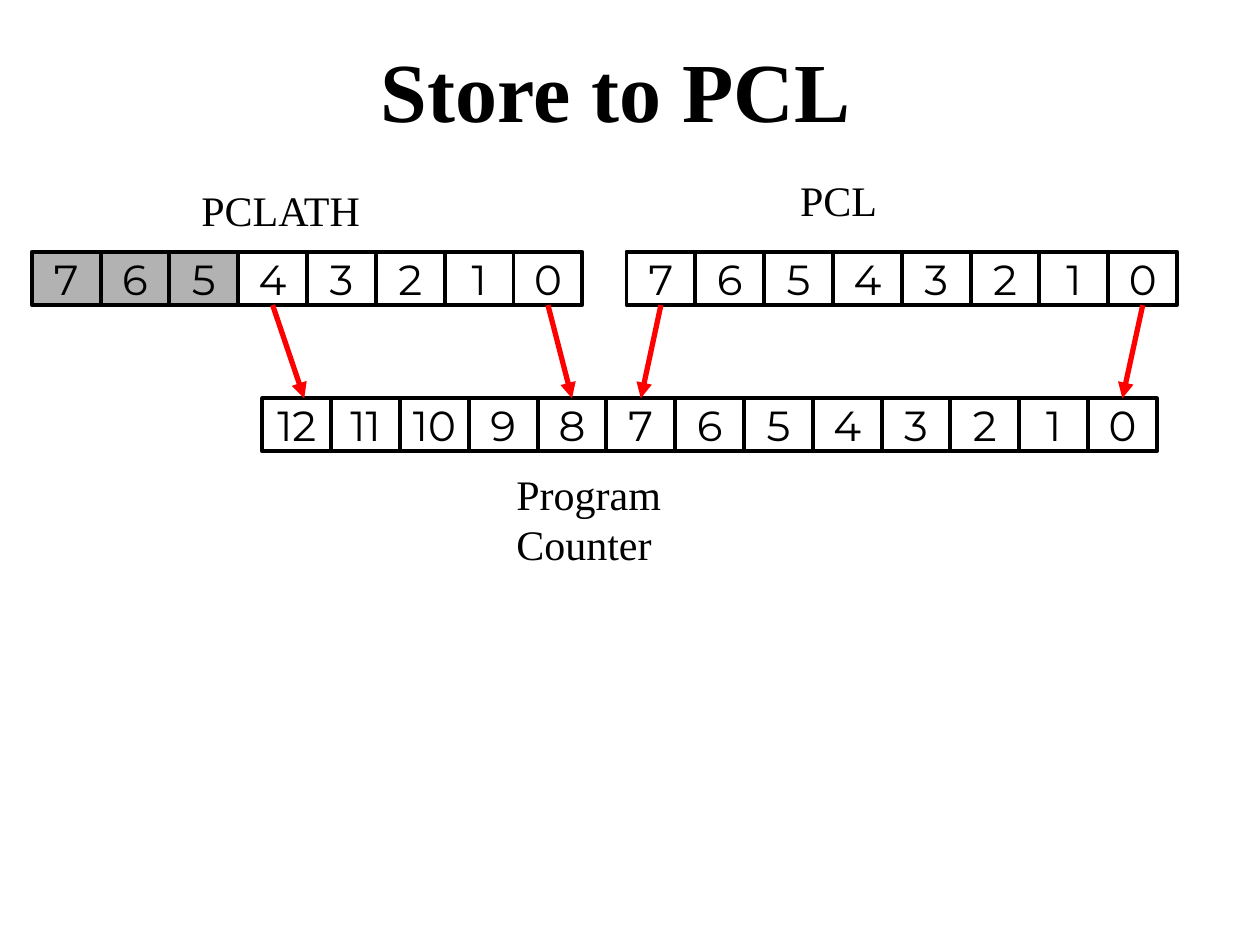
from lxml.etree import SubElement
from pptx import Presentation
from pptx.dml.color import RGBColor
from pptx.enum.shapes import MSO_CONNECTOR, MSO_SHAPE
from pptx.enum.text import MSO_ANCHOR, MSO_AUTO_SIZE, PP_ALIGN
from pptx.oxml.ns import qn
from pptx.util import Cm, Pt

BLACK = RGBColor(0x00, 0x00, 0x00)
GREY = RGBColor(0xB2, 0xB2, 0xB2)
RED = RGBColor(0xFF, 0x00, 0x00)
SERIF = "Times New Roman"
SANS = "Montserrat"
BOTTOM, TOP = 2, 0


def write(shape, text, size=24, font=SERIF, bold=False, align=PP_ALIGN.LEFT,
          anchor=MSO_ANCHOR.TOP, fit=MSO_AUTO_SIZE.SHAPE_TO_FIT_TEXT):
    """Put one formatted, unwrapped line of text in a shape."""
    frame = shape.text_frame
    frame.word_wrap = False
    frame.auto_size = fit
    frame.vertical_anchor = anchor
    para = frame.paragraphs[0]
    para.alignment = align
    span = para.add_run()
    span.text = text
    span.font.size = Pt(size)
    span.font.name = font
    span.font.bold = bold
    span.font.color.rgb = BLACK


def place_title(page, text, left, top, width, height):
    """Move and format the title placeholder."""
    title = page.shapes.title
    title.left, title.top, title.width, title.height = left, top, width, height
    write(title, text, size=48, bold=True)


def place_label(page, text, left, top, width, height=Cm(1.27)):
    """Add the name of a register."""
    write(page.shapes.add_textbox(left, top, width, height), text)


def place_register(page, bits, left, top, width, height=Cm(1.07), unused=()):
    """Fill a box with a row of bit cells and return them by bit number."""
    group = page.shapes.add_group_shape()
    pitch = width / bits
    cells = {}
    for column, bit in enumerate(reversed(range(bits))):
        cell = group.shapes.add_shape(
            MSO_SHAPE.RECTANGLE, int(left + column * pitch), top, int(pitch), height)
        cell.shadow.inherit = False
        if bit in unused:
            cell.fill.solid()
            cell.fill.fore_color.rgb = GREY
        else:
            cell.fill.background()
        cell.line.color.rgb = BLACK
        cell.line.width = Pt(2.25)
        write(cell, str(bit), font=SANS, align=PP_ALIGN.CENTER,
              anchor=MSO_ANCHOR.MIDDLE, fit=MSO_AUTO_SIZE.NONE)
        cells[bit] = cell
    return cells


def draw_arrow(page, source, target, drift=0):
    """Draw an arrow from a cell down to another, joined unless it lands off centre."""
    end_x = target.left + target.width // 2 + drift
    arrow = page.shapes.add_connector(
        MSO_CONNECTOR.STRAIGHT, source.left, source.top, end_x, target.top)
    arrow.begin_connect(source, BOTTOM)
    if not drift:
        arrow.end_connect(target, TOP)
    arrow.line.color.rgb = RED
    arrow.line.width = Pt(3)
    SubElement(arrow.line._get_or_add_ln(), qn("a:tailEnd"), type="triangle")
    SubElement(arrow._element.spPr, qn("a:effectLst"))


def build_store_page(deck):
    """Show how PCLATH and PCL are loaded into the program counter."""
    page = deck.slides.add_slide(deck.slide_layouts[5])
    place_title(page, "Store to PCL", Cm(7.42), Cm(0.64), Cm(10), Cm(2.29))
    counter = place_register(page, 13, Cm(5.29), Cm(8.03), Cm(18.03))
    low = place_register(page, 8, Cm(12.63), Cm(5.08), Cm(11.1))
    high = place_register(page, 8, Cm(0.64), Cm(5.08), Cm(11.1), unused=(5, 6, 7))
    draw_arrow(page, low[7], counter[7])
    draw_arrow(page, low[0], counter[0])
    draw_arrow(page, high[0], counter[8])
    draw_arrow(page, high[4], counter[12], drift=Cm(0.15))
    place_label(page, "Program Counter", Cm(10.16), Cm(9.31), Cm(6.35))
    place_label(page, "PCLATH", Cm(3.81), Cm(3.6), Cm(3.78))
    place_label(page, "PCL", Cm(15.88), Cm(3.39), Cm(2.06))


def main():
    """Build and save the deck."""
    deck = Presentation()
    deck.slide_width, deck.slide_height = Cm(25.4), Cm(19.05)
    build_store_page(deck)
    deck.save("out.pptx")


if __name__ == "__main__":
    main()
